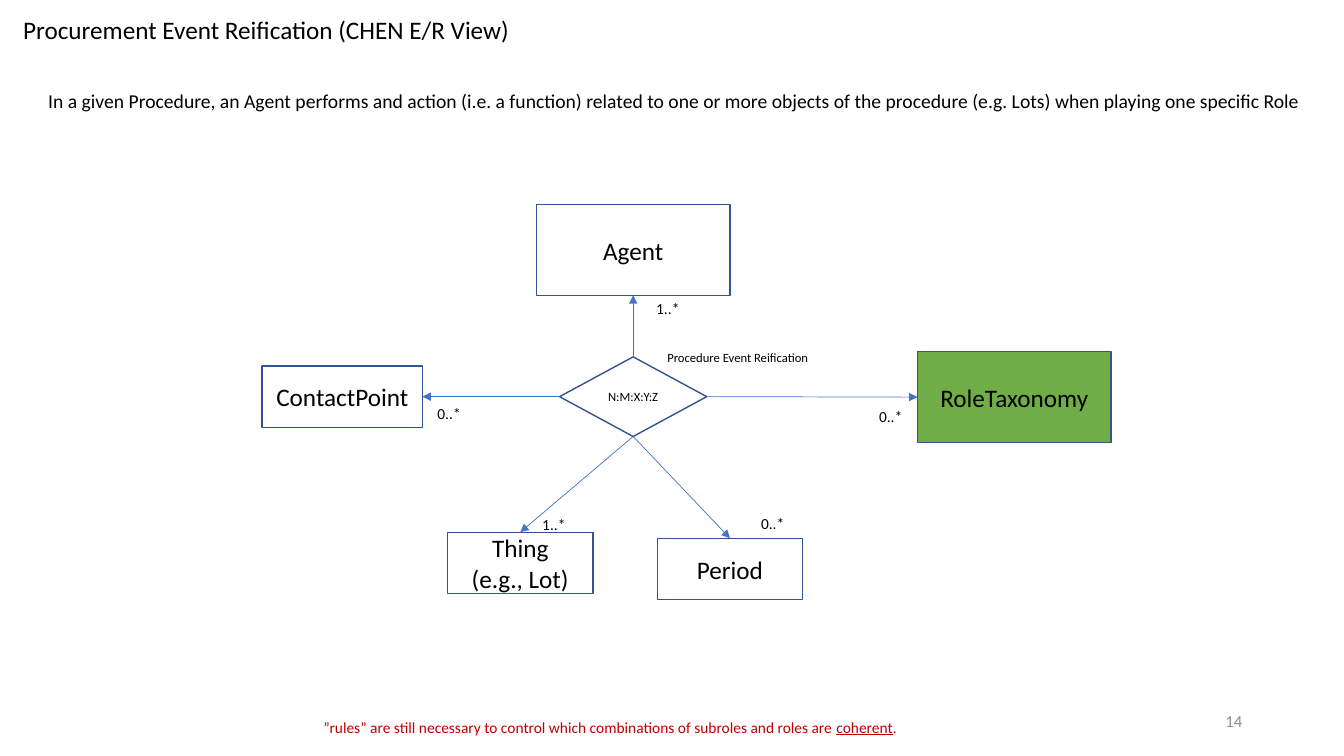
"""Build the Procurement Event Reification slide as a Chen entity/relationship diagram."""
from dataclasses import dataclass

from lxml import etree
from pptx import Presentation
from pptx.dml.color import RGBColor
from pptx.enum.shapes import MSO_CONNECTOR, MSO_SHAPE
from pptx.enum.text import MSO_ANCHOR, MSO_AUTO_SIZE, PP_ALIGN
from pptx.oxml.ns import qn
from pptx.shapes.autoshape import Shape
from pptx.slide import Slide
from pptx.text.text import TextFrame
from pptx.util import Inches, Pt

RECTANGLE, DIAMOND = MSO_SHAPE.RECTANGLE, MSO_SHAPE.DIAMOND
STRAIGHT = MSO_CONNECTOR.STRAIGHT
LEFT, CENTER, RIGHT = PP_ALIGN.LEFT, PP_ALIGN.CENTER, PP_ALIGN.RIGHT
TOP, MIDDLE = MSO_ANCHOR.TOP, MSO_ANCHOR.MIDDLE
NO_FIT, GROW = MSO_AUTO_SIZE.NONE, MSO_AUTO_SIZE.SHAPE_TO_FIT_TEXT

BLACK = RGBColor(0x00, 0x00, 0x00)
GREEN = RGBColor(0x70, 0xAD, 0x47)
OUTLINE_BLUE = RGBColor(0x32, 0x54, 0x91)
ARROW_BLUE = RGBColor(0x44, 0x72, 0xC4)
RULE_RED = RGBColor(0xC0, 0x00, 0x00)
NUMBER_GRAY = RGBColor(0x8C, 0x8C, 0x8C)
FONT = "Calibri"
SITE_TOP, SITE_LEFT, SITE_BOTTOM, SITE_RIGHT = range(4)


@dataclass(frozen=True)
class Node:
    text: str
    left: float
    top: float
    width: float
    height: float
    size: int = 18
    kind: MSO_SHAPE = RECTANGLE
    fill: RGBColor | None = None


@dataclass(frozen=True)
class Relation:
    entity: Node
    event_site: int
    entity_site: int


@dataclass(frozen=True)
class Label:
    text: str
    left: float
    top: float
    width: float = 0.44
    height: float = 0.29
    size: int = 11
    color: RGBColor = BLACK
    underlined: str = ""


EVENT = Node("N:M:X:Y:Z", 5.55, 3.54, 1.46, 0.79, size=9, kind=DIAMOND)
RELATIONS = (
    Relation(Node("Agent", 5.32, 2.03, 1.92, 0.9), SITE_TOP, SITE_BOTTOM),
    Relation(Node("ContactPoint", 2.6, 3.63, 1.59, 0.61), SITE_LEFT, SITE_RIGHT),
    Relation(Node("RoleTaxonomy", 9.1, 3.49, 1.92, 0.9, fill=GREEN), SITE_RIGHT, SITE_LEFT),
    Relation(Node("Thing\n(e.g., Lot)", 4.44, 5.28, 1.44, 0.61), SITE_BOTTOM, SITE_TOP),
    Relation(Node("Period", 6.52, 5.34, 1.44, 0.61), SITE_BOTTOM, SITE_TOP),
)
LABELS = (
    Label("1..*", 6.41, 2.92),
    Label("0..*", 4.24, 3.96),
    Label("0..*", 8.62, 3.99),
    Label("1..*", 5.28, 5.06),
    Label("0..*", 7.45, 5.05),
    Label("Procedure Event Reification", 6.52, 3.42, 1.63, 0.25, size=9),
    Label("In a given Procedure, an Agent performs and action (i.e. a function) related to "
          "one or more objects of the procedure (e.g. Lots) when playing one specific Role",
          0.38, 0.83, 12.73, 0.34, size=14),
    Label("”rules” are still necessary to control which combinations of subroles and roles "
          "are coherent.", 3.11, 7.07, 5.93, color=RULE_RED, underlined="coherent"),
)


def write_text(frame: TextFrame, text: str, *, size: int, color: RGBColor = BLACK,
               align: PP_ALIGN = LEFT, anchor: MSO_ANCHOR = TOP,
               fit: MSO_AUTO_SIZE = NO_FIT, underlined: str = "") -> None:
    frame.word_wrap = False
    frame.auto_size = fit
    frame.vertical_anchor = anchor
    frame.text = text
    for paragraph in frame.paragraphs:
        paragraph.alignment = align
        if underlined:
            before, word, after = paragraph.text.partition(underlined)
            paragraph.clear()
            for part in (before, word, after):
                run = paragraph.add_run()
                run.text = part
                run.font.underline = part == underlined
        for run in paragraph.runs:
            run.font.name = FONT
            run.font.size = Pt(size)
            run.font.color.rgb = color


def add_node(slide: Slide, node: Node) -> Shape:
    shape = slide.shapes.add_shape(node.kind, Inches(node.left), Inches(node.top),
                                   Inches(node.width), Inches(node.height))
    shape.shadow.inherit = False
    if node.fill is None:
        shape.fill.background()
    else:
        shape.fill.solid()
        shape.fill.fore_color.rgb = node.fill
    shape.line.color.rgb = OUTLINE_BLUE
    shape.line.width = Pt(1)
    write_text(shape.text_frame, node.text, size=node.size, align=CENTER, anchor=MIDDLE)
    return shape


def add_arrow(slide: Slide, event: Shape, entity: Shape, relation: Relation) -> None:
    connector = slide.shapes.add_connector(STRAIGHT, 0, 0, 0, 0)
    connector.begin_connect(event, relation.event_site)
    connector.end_connect(entity, relation.entity_site)
    connector.line.color.rgb = ARROW_BLUE
    connector.line.width = Pt(0.5)
    properties = connector.element.spPr
    etree.SubElement(properties.find(qn("a:ln")), qn("a:tailEnd"), type="triangle")
    etree.SubElement(properties, qn("a:effectLst"))


def add_label(slide: Slide, label: Label) -> None:
    box = slide.shapes.add_textbox(Inches(label.left), Inches(label.top),
                                   Inches(label.width), Inches(label.height))
    write_text(box.text_frame, label.text, size=label.size, color=label.color,
               fit=GROW, underlined=label.underlined)


def add_title(slide: Slide, text: str) -> None:
    title = slide.shapes.title
    title.left, title.top = Inches(0.13), Inches(0.09)
    title.width, title.height = Inches(5.08), Inches(0.4)
    write_text(title.text_frame, text, size=18)


def add_slide_number(slide: Slide, number: str) -> None:
    box = slide.shapes.add_textbox(Inches(9.42), Inches(6.95), Inches(3), Inches(0.4))
    write_text(box.text_frame, number, size=12, color=NUMBER_GRAY, align=RIGHT, anchor=MIDDLE)
    box.text_frame.word_wrap = True


def main() -> None:
    presentation = Presentation()
    presentation.slide_width, presentation.slide_height = Inches(13.33), Inches(7.5)
    slide = presentation.slides.add_slide(presentation.slide_layouts.get_by_name("Title Only"))
    add_title(slide, "Procurement Event Reification (CHEN E/R View)")
    event = add_node(slide, EVENT)
    for relation in RELATIONS:
        add_arrow(slide, event, add_node(slide, relation.entity), relation)
    for label in LABELS:
        add_label(slide, label)
    add_slide_number(slide, "14")
    presentation.save("out.pptx")


if __name__ == "__main__":
    main()
